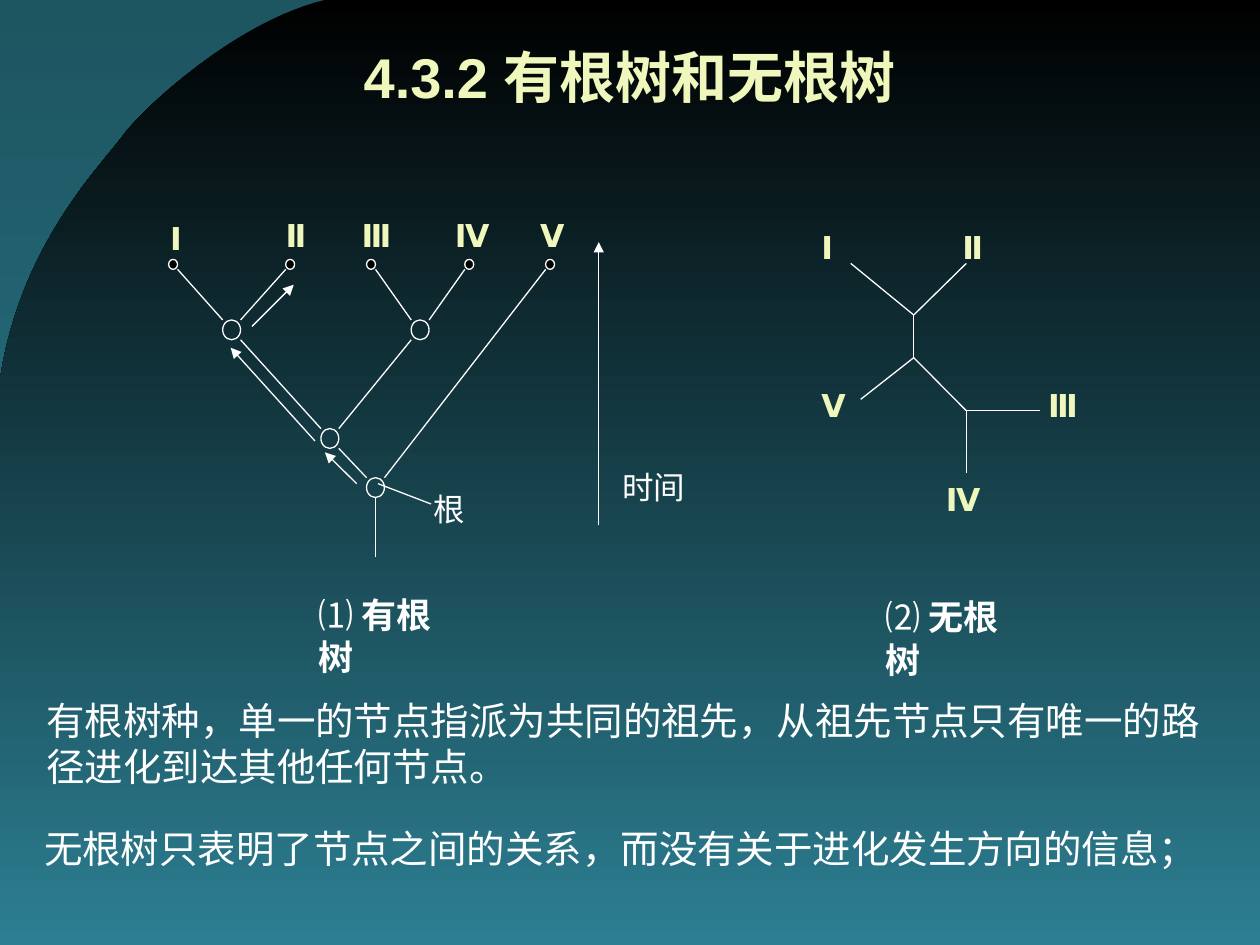
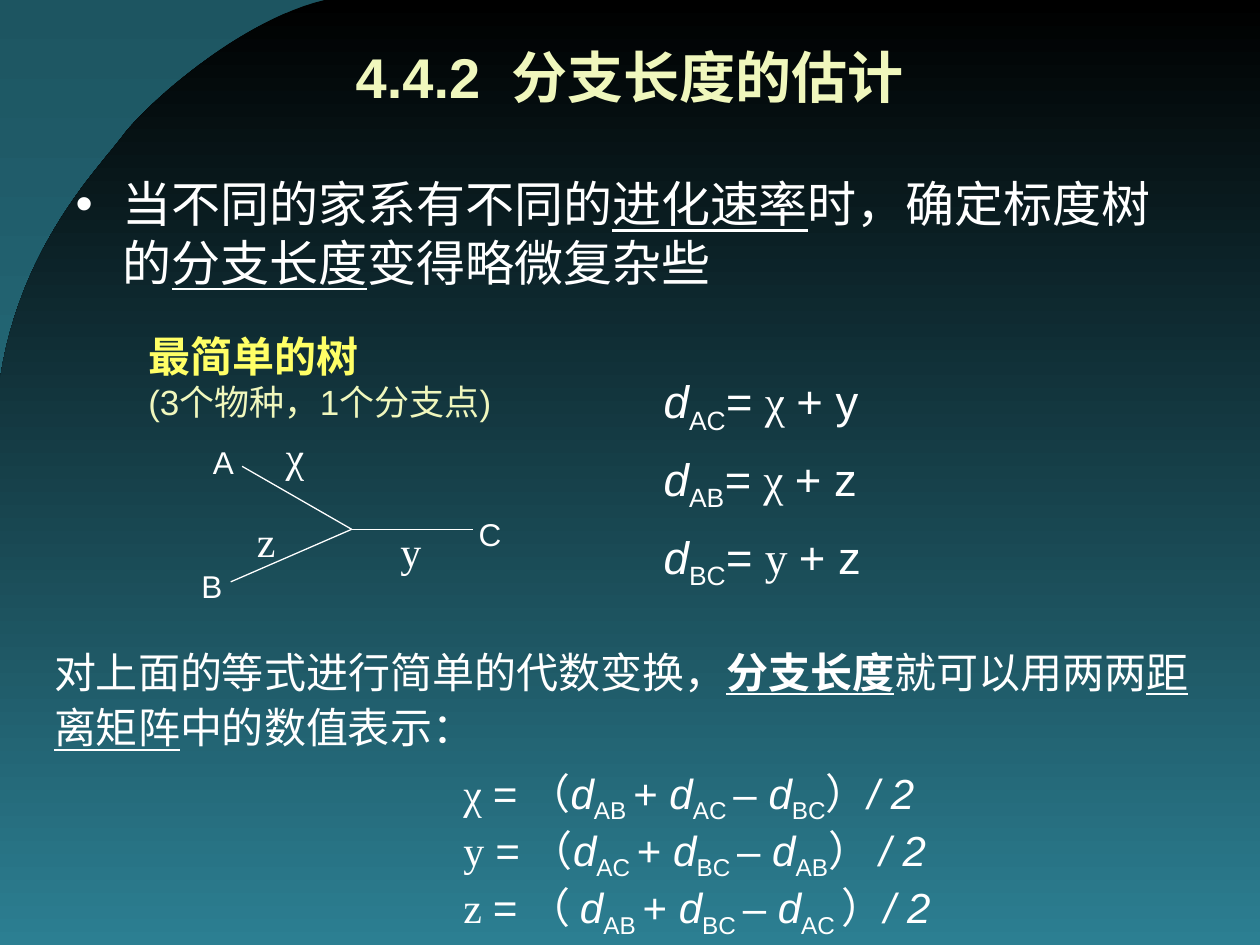
from lxml import etree
from pptx import Presentation
from pptx import util as u
from pptx.dml.color import RGBColor
from pptx.enum import shapes, text
from pptx.oxml.ns import qn

WHITE = RGBColor(0xFF, 0xFF, 0xFF)
BLACK = RGBColor(0, 0, 0)
CREAM = RGBColor(0xF0, 0xF7, 0xBD)
YELLOW = RGBColor(0xFF, 0xFF, 0x66)
DEEP_TEAL = RGBColor(0x1D, 0x55, 0x61)
TEAL = RGBColor(0x2C, 0x7F, 0x92)

WIDTH, HEIGHT = 25.4, 19.05
NUMERAL_WIDTHS = {"Ⅰ": 0.74, "Ⅱ": 0.91, "Ⅲ": 1.09, "Ⅳ": 1.19, "Ⅴ": 0.99}


def bezier(start, control1, control2, end, steps=24):
    for step in range(1, steps + 1):
        t = step / steps
        yield tuple(
            (1 - t) ** 3 * a + 3 * (1 - t) ** 2 * t * b + 3 * (1 - t) * t * t * c + t ** 3 * d
            for a, b, c, d in zip(start, control1, control2, end)
        )


def shade(fill, top, bottom):
    fill.gradient()
    fill.gradient_angle = 270
    for stop, color in zip(fill.gradient_stops, (top, bottom)):
        stop.color.rgb = color


class Deck:
    font = "Arial"
    formula_font = "Times New Roman"
    line_width = u.Pt(0.75)

    def __init__(self):
        self.prs = Presentation()
        self.prs.slide_width, self.prs.slide_height = u.Cm(WIDTH), u.Cm(HEIGHT)
        self.slide = None
        shade(self.prs.slide_master.background.fill, DEEP_TEAL, TEAL)

    def new_slide(self, layout, title):
        self.slide = self.prs.slides.add_slide(self.prs.slide_layouts[layout])
        heading = self.slide.shapes.title
        self.place(heading, 1.27, 0.64, 22.86, 1.78)
        frame = heading.text_frame
        frame.auto_size = text.MSO_AUTO_SIZE.NONE
        frame.vertical_anchor = text.MSO_ANCHOR.MIDDLE
        frame.paragraphs[0].alignment = text.PP_ALIGN.CENTER
        self.set_lines(frame, [title], 32, CREAM)
        for run in frame.paragraphs[0].runs:
            self.text_shadow(run)

    def curtain(self):
        edge = [(6.55, 0)]
        edge += bezier(edge[-1], (4.83, 0.41), (2.95, 2.11), (2.49, 2.72))
        edge += bezier(edge[-1], (2.03, 3.35), (0.41, 4.93), (0, 7.65))
        edge += [(0, HEIGHT), (WIDTH, HEIGHT), (WIDTH, 0)]
        points = [(u.Cm(x), u.Cm(y)) for x, y in edge]
        builder = self.slide.shapes.build_freeform(*points[0])
        builder.add_line_segments(points[1:], close=True)
        panel = builder.convert_to_shape()
        panel.shadow.inherit = False
        panel.line.fill.background()
        shade(panel.fill, BLACK, TEAL)
        self.prs.slide_master.shapes._spTree.insert(2, panel._element)

    def place(self, shape, left, top, width, height):
        shape.left, shape.top = u.Cm(left), u.Cm(top)
        shape.width, shape.height = u.Cm(width), u.Cm(height)

    def text_shadow(self, run):
        effects = etree.Element(qn("a:effectLst"))
        shadow = etree.SubElement(effects, qn("a:outerShdw"), dist="38100", dir="2700000")
        etree.SubElement(shadow, qn("a:srgbClr"), val="000000")
        run.font._element.find(qn("a:solidFill")).addnext(effects)

    def set_lines(self, frame, lines, size, color, spacing=None):
        for number, pieces in enumerate(lines):
            paragraph = frame.add_paragraph() if number else frame.paragraphs[0]
            paragraph.space_before = u.Pt(0)
            if spacing:
                paragraph.line_spacing = spacing
            for wording, style in pieces:
                run = paragraph.add_run()
                run.text = wording
                font = run.font
                font.size = u.Pt(size)
                font.color.rgb = color
                font.name = self.formula_font if "t" in style else self.font
                font.bold = "b" in style
                font.italic = "i" in style
                font.underline = "u" in style
                if "s" in style:
                    font._element.set("baseline", "-25000")
                if "w" in style:
                    font._element.set("spc", "900")

    def words(self, lines, left, top, width, height, size=18, color=WHITE, wrap=True, spacing=None):
        box = self.slide.shapes.add_textbox(u.Cm(left), u.Cm(top), u.Cm(width), u.Cm(height))
        frame = box.text_frame
        frame.word_wrap = wrap
        frame.auto_size = text.MSO_AUTO_SIZE.SHAPE_TO_FIT_TEXT
        self.set_lines(frame, lines, size, color, spacing)
        return frame

    def label(self, wording, left, top, width, height=1.02, size=18, style=""):
        self.words([[(wording, style)]], left, top, width, height, size, wrap=False)

    def numeral(self, wording, left, top):
        self.words([[(wording, "b")]], left, top, NUMERAL_WIDTHS[wording], 1.02, color=CREAM, wrap=False)

    def bullet_list(self, lines, left, top, width, height, size):
        body = self.slide.placeholders[1]
        self.place(body, left, top, width, height)
        body.text_frame.auto_size = text.MSO_AUTO_SIZE.NONE
        self.set_lines(body.text_frame, lines, size, WHITE)

    def line(self, start, end, arrow=False):
        ends = [u.Cm(value) for value in (*start, *end)]
        branch = self.slide.shapes.add_connector(shapes.MSO_CONNECTOR.STRAIGHT, *ends)
        branch.line.color.rgb = WHITE
        branch.line.width = self.line_width
        if arrow:
            etree.SubElement(branch.line._get_or_add_ln(), qn("a:tailEnd"), type="triangle")
        etree.SubElement(branch._element.spPr, qn("a:effectLst"))

    def node(self, center, half_width, half_height, fill=None):
        x, y = center
        circle = self.slide.shapes.add_shape(
            shapes.MSO_SHAPE.OVAL, u.Cm(x - half_width), u.Cm(y - half_height),
            u.Cm(2 * half_width), u.Cm(2 * half_height))
        circle.shadow.inherit = False
        circle.line.color.rgb = WHITE
        circle.line.width = self.line_width
        if fill is None:
            circle.fill.background()
        else:
            circle.fill.solid()
            circle.fill.fore_color.rgb = fill


def rooted_tree(deck):
    ancestors = {"root": (7.57, 9.83), "left": (6.65, 8.84), "pair12": (4.67, 6.65), "pair34": (8.47, 6.65)}
    species = {"Ⅰ": 3.49, "Ⅱ": 5.85, "Ⅲ": 7.48, "Ⅳ": 9.46, "Ⅴ": 11.09}
    leaves = {name: (x, 5.33) for name, x in species.items()}
    children = {
        "root": ("left", "Ⅴ"),
        "left": ("pair12", "pair34"),
        "pair12": ("Ⅰ", "Ⅱ"),
        "pair34": ("Ⅲ", "Ⅳ"),
    }
    sizes = {**dict.fromkeys(ancestors, (0.18, 0.2)), **dict.fromkeys(leaves, (0.09, 0.1))}
    centers = {**ancestors, **leaves}

    for parent, offspring in children.items():
        for child in offspring:
            (px, py), (cx, cy) = centers[parent], centers[child]
            (pw, ph), (cw, ch) = sizes[parent], sizes[child]
            side = 1 if cx > px else -1
            deck.line((px + side * pw, py - ph), (cx - side * cw, cy + ch))
    for name, center in centers.items():
        deck.node(center, *sizes[name], fill=BLACK if name in leaves else None)

    numeral_lefts = (3.18, 5.51, 7.04, 8.92, 10.64)
    for name, left in zip(species, numeral_lefts):
        deck.numeral(name, left, 4.29 if name == "Ⅰ" else 4.24)

    deck.line((7.57, 10.03), (7.57, 11.23))
    deck.line((7.62, 9.75), (8.69, 10.16))
    deck.label("根", 8.48, 9.75, 1.14)
    evolution_steps = (
        ((7.19, 9.75), (6.55, 9.12)),
        ((6.35, 8.89), (4.65, 7.01)),
        ((5.08, 6.58), (5.92, 5.74)),
    )
    time_axis = ((12.07, 10.59), (12.07, 4.88))
    for start, end in (*evolution_steps, time_axis):
        deck.line(start, end, arrow=True)
    deck.label("时间", 12.29, 9.32, 1.78)


def unrooted_tree(deck):
    upper, middle, lower = (18.42, 6.35), (18.42, 7.21), (19.48, 8.28)
    branches = (
        (upper, (17.15, 5.31)), (upper, (19.48, 5.31)), (upper, middle),
        (middle, (17.35, 8.05)), (middle, lower),
        (lower, (20.96, 8.28)), (lower, (19.48, 9.53)),
    )
    for start, end in branches:
        deck.line(start, end)
    for name, left, top in (("Ⅰ", 16.31, 4.47), ("Ⅱ", 19.15, 4.47), ("Ⅲ", 20.88, 7.65),
                            ("Ⅳ", 18.82, 9.55), ("Ⅴ", 16.31, 7.65)):
        deck.numeral(name, left, top)


def tree_slide(deck):
    deck.new_slide(5, [("4.3.2 有根树和无根树", "b")])
    deck.curtain()
    rooted_tree(deck)
    unrooted_tree(deck)
    for mark, caption, left, top in (("⑴ ", "有根树", 6.17, 11.84), ("⑵ ", "无根树", 17.6, 11.89)):
        deck.words([[(mark, ""), (caption, "b")]], left, top, 3.48, 1.12, 20, wrap=False)
    rooted_note = "有根树种，单一的节点指派为共同的祖先，从祖先节点只有唯一的路径进化到达其他任何节点。"
    unrooted_note = "无根树只表明了节点之间的关系，而没有关于进化发生方向的信息；"
    deck.words([[(rooted_note, "")]], 0.69, 13.92, 24.13, 2.13, 22)
    deck.words([[(unrooted_note, "")]], 0.64, 16.51, 24.13, 1.19, 22)


def distance(pair):
    return [("d", "i"), (pair, "s")]


def simplest_tree(deck):
    fork = (7.09, 10.67)
    for tip in ((4.88, 9.4), (4.65, 11.73), (9.53, 10.67)):
        deck.line(fork, tip)
    for species, left, top, width in (("A", 4.04, 8.81, 0.91), ("B", 3.81, 11.3, 0.94), ("C", 9.4, 10.26, 0.97)):
        deck.label(species, left, top, width)
    for length, left, top, width in (("χ", 5.51, 8.56, 0.91), ("у", 7.82, 10.46, 0.94), ("z", 4.93, 10.26, 0.89)):
        deck.label(length, left, top, width, 1.27, 24, "t")


def branch_length_slide(deck):
    deck.new_slide(1, [("4.4.2", "b"), (" ", "bw"), ("分支长度的估计", "b")])
    deck.bullet_list(
        [[("当不同的家系有不同的", ""), ("进化速率", "u"), ("时，确定标度树的", ""),
          ("分支长度", "u"), ("变得略微复杂些", "")]],
        1.27, 3.38, 22.86, 14.27, 28)
    simplest_tree(deck)

    sums = (("AC", "χ", "у"), ("AB", "χ", "z"), ("BC", "у", "z"))
    equations = [
        distance(pair) + [("= ", "i"), (first + " ", "t"), ("+ " + second, "")]
        for pair, first, second in sums
    ]
    deck.words(equations, 13.13, 7.09, 6.99, 4.95, 26, spacing=1.25)

    deck.words(
        [[("对上面的等式进行简单的代数变换，", ""), ("分支长度", "bu"), ("就可以用两两", ""),
          ("距离矩阵", "u"), ("中的数值表示：", "")]],
        0.84, 12.8, 23.7, 2.49, 24, spacing=1.1)

    solutions = (
        ("χ", "（", "AB ", "AC ", "BC", "）"),
        ("у", "（", "AC ", "BC ", "AB", "） "),
        ("z", "（ ", "AB ", "BC ", "AC ", "）"),
    )
    results = [
        [(length + " ", "t"), ("= ", "i"), (opening, ""), *distance(first), ("+ ", ""),
         *distance(second), ("– ", ""), *distance(minus), (closing, ""), ("/ 2", "i")]
        for length, opening, first, second, minus, closing in solutions
    ]
    deck.words(results, 9.09, 15.34, 14.81, 3.73, 24)

    simplest = deck.words([[("最简单的树", "b")], [("(3个物种，1个分支点)", "")]],
                          2.74, 6.53, 8.05, 2.97, 24, YELLOW)
    detail = simplest.paragraphs[1].runs[0].font
    detail.size = u.Pt(20)
    detail.color.rgb = CREAM


def main():
    deck = Deck()
    tree_slide(deck)
    branch_length_slide(deck)
    deck.prs.save("out.pptx")


if __name__ == "__main__":
    main()
